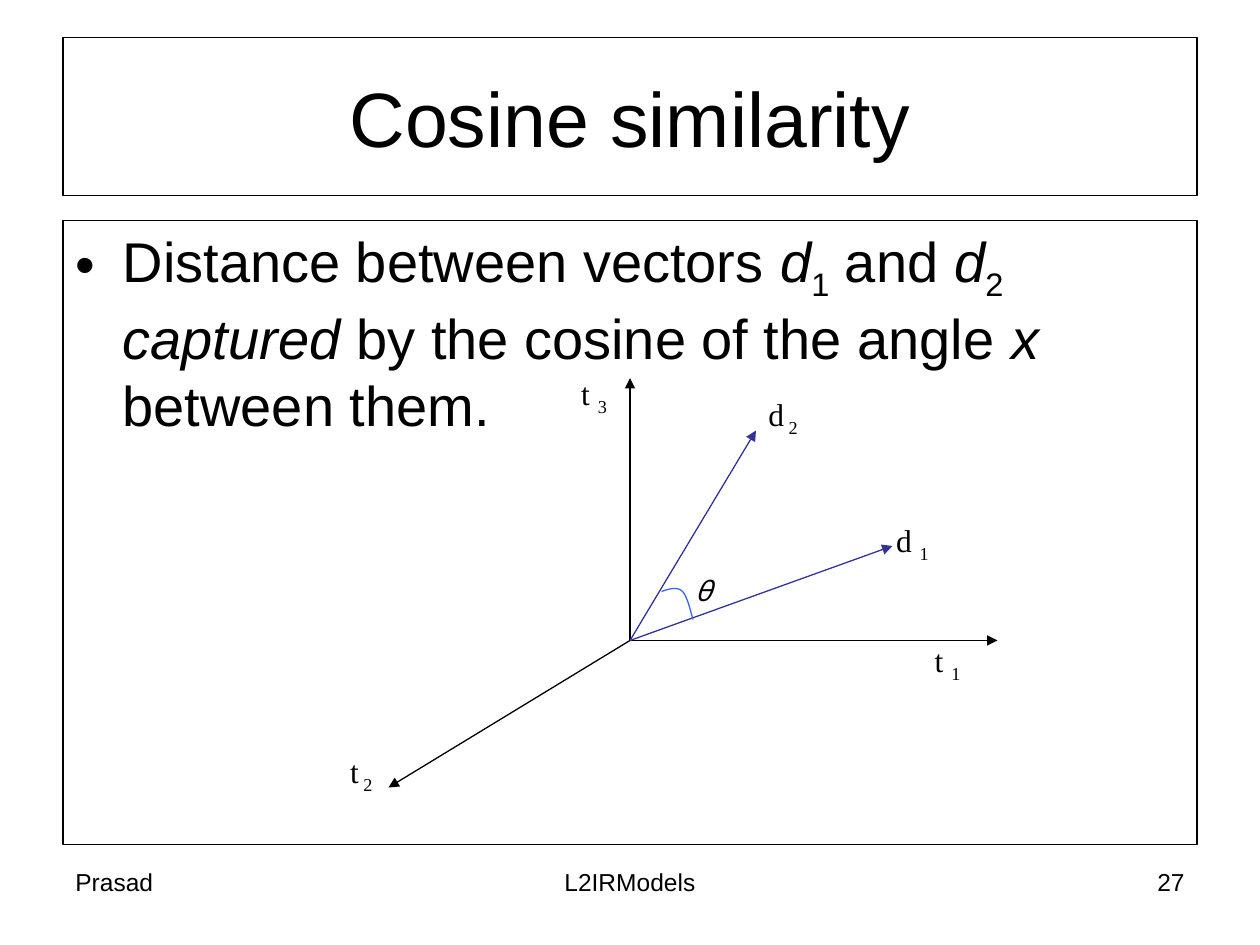
from pptx import Presentation
from pptx import util as u
from pptx.dml.color import RGBColor
from pptx.enum import shapes, text
from pptx.oxml import parse_xml
from pptx.oxml.ns import nsdecls, qn

Pt = u.Pt
BLACK, NAVY, BLUE = "000000", "333399", "3366FF"


def color(value):
    return RGBColor.from_string(value)


def outline(item, value=BLACK):
    item.line.color.rgb = color(value)
    item.line.width = Pt(0.75)


def set_font(para, size, name="Arial"):
    para.font.size = Pt(size)
    para.font.name = name
    para.font.color.rgb = color(BLACK)


def add_span(para, words, style=""):
    span = para.add_run()
    span.text = words
    if style == "italic":
        span.font.italic = True
    elif style == "sub":
        span._r.get_or_add_rPr().set("baseline", "-25000")


def add_title(page, left, top, width, height):
    title = page.shapes.title
    title.left, title.top, title.width, title.height = map(Pt, (left, top, width, height))
    outline(title)
    frame = title.text_frame
    frame.text = "Cosine similarity"
    frame.auto_size = text.MSO_AUTO_SIZE.NONE
    frame.vertical_anchor = text.MSO_ANCHOR.MIDDLE
    para = frame.paragraphs[0]
    para.alignment = text.PP_ALIGN.CENTER
    set_font(para, 44)


def add_text_box(parent, left, top, width, height, wrap=True):
    box = parent.shapes.add_textbox(*map(Pt, (left, top, width, height)))
    box.text_frame.word_wrap = wrap
    return box


def add_body(page, left, top, width, height):
    box = add_text_box(page, left, top, width, height)
    outline(box)
    para = box.text_frame.paragraphs[0]
    props = para._p.get_or_add_pPr()
    props.set("marL", str(Pt(27)))
    props.set("indent", str(Pt(-27)))
    props.append(parse_xml(f'<a:buFont {nsdecls("a")} typeface="Arial"/>'))
    props.append(parse_xml(f'<a:buChar {nsdecls("a")} char="•"/>'))
    set_font(para, 32)
    for words, style in (
        ("Distance between vectors ", ""),
        ("d", "italic"),
        ("1", "sub"),
        (" and ", ""),
        ("d", "italic"),
        ("2 ", "sub"),
        ("captured", "italic"),
        (" by the cosine of the angle ", ""),
        ("x", "italic"),
        (" between them.", ""),
    ):
        add_span(para, words, style)


def add_arrow(group, start, end, value):
    arrow = group.shapes.add_connector(
        shapes.MSO_CONNECTOR.STRAIGHT, *map(Pt, (*start, *end)))
    outline(arrow, value)
    arrow.line._get_or_add_ln().append(
        parse_xml(f'<a:tailEnd {nsdecls("a")} type="triangle"/>'))
    props = arrow._element.find(qn("p:spPr"))
    props.append(parse_xml(f'<a:effectLst {nsdecls("a")}/>'))


def curve_points(p0, p1, p2, p3, steps=12):
    for step in range(1, steps + 1):
        t = step / steps
        s = 1 - t
        yield tuple(s**3 * a + 3 * s * s * t * b + 3 * s * t * t * c + t**3 * d
                    for a, b, c, d in zip(p0, p1, p2, p3))


def add_angle(group, x, y):
    start, middle, end = (18, -28), (30, -28), (36, -12)
    points = [*curve_points(start, (22.5, -29.5), (27, -31), middle),
              *curve_points(middle, (33, -25), (35, -15), end)]
    builder = group.shapes.build_freeform(Pt(x + start[0]), Pt(y + start[1]))
    builder.add_line_segments([(Pt(x + dx), Pt(y + dy)) for dx, dy in points], close=False)
    arc = builder.convert_to_shape()
    arc.shadow.inherit = False
    arc.fill.background()
    outline(arc, BLUE)


def add_vectors(page, x, y):
    group = page.shapes.add_group_shape()
    for dx, dy, value in (
        (210, 0, BLACK),
        (0, -150, BLACK),
        (-138, 84, BLACK),
        (150, -54, NAVY),
        (72, -120, NAVY),
    ):
        add_arrow(group, (x, y), (x + dx, y + dy), value)
    for base, index, dx, dy, width in (
        ("t ", "1", 167, -3, 29),
        ("d", " 2", 72, -144, 31),
        ("d ", "1", 145, -72, 33),
        ("t ", "3", -35, -156, 29),
        ("t", " 2", -167, 60, 27),
    ):
        box = add_text_box(group, x + dx, y + dy, width, 32, wrap=False)
        para = box.text_frame.paragraphs[0]
        set_font(para, 18, "Times New Roman")
        add_span(para, base)
        add_span(para, index, "sub")
    add_angle(group, x, y)
    theta = add_text_box(group, x + 30, y - 42, 24, 27, wrap=False)
    para = theta.text_frame.paragraphs[0]
    set_font(para, 16, "Noto Sans Mono")
    add_span(para, "θ", "italic")


def add_footer(page, left, top, width, height):
    align = text.PP_ALIGN
    for words, dx, part, side in (
        ("Prasad", 0, 168, align.LEFT),
        ("L2IRModels", (width - 228) / 2, 228, align.CENTER),
        ("27", width - 168, 168, align.RIGHT),
    ):
        box = add_text_box(page, left + dx, top, part, height)
        para = box.text_frame.paragraphs[0]
        para.alignment = side
        set_font(para, 14)
        add_span(para, words)


def main():
    deck = Presentation()
    deck.slide_width, deck.slide_height = Pt(720), Pt(540)
    page = deck.slides.add_slide(deck.slide_layouts[5])
    left, width = 36, 648
    add_title(page, left, 21.6, width, 90)
    add_body(page, left, 126, width, 356.4)
    add_vectors(page, 360, 366)
    add_footer(page, left, 492, width, 37.5)
    deck.save("out.pptx")


if __name__ == "__main__":
    main()
